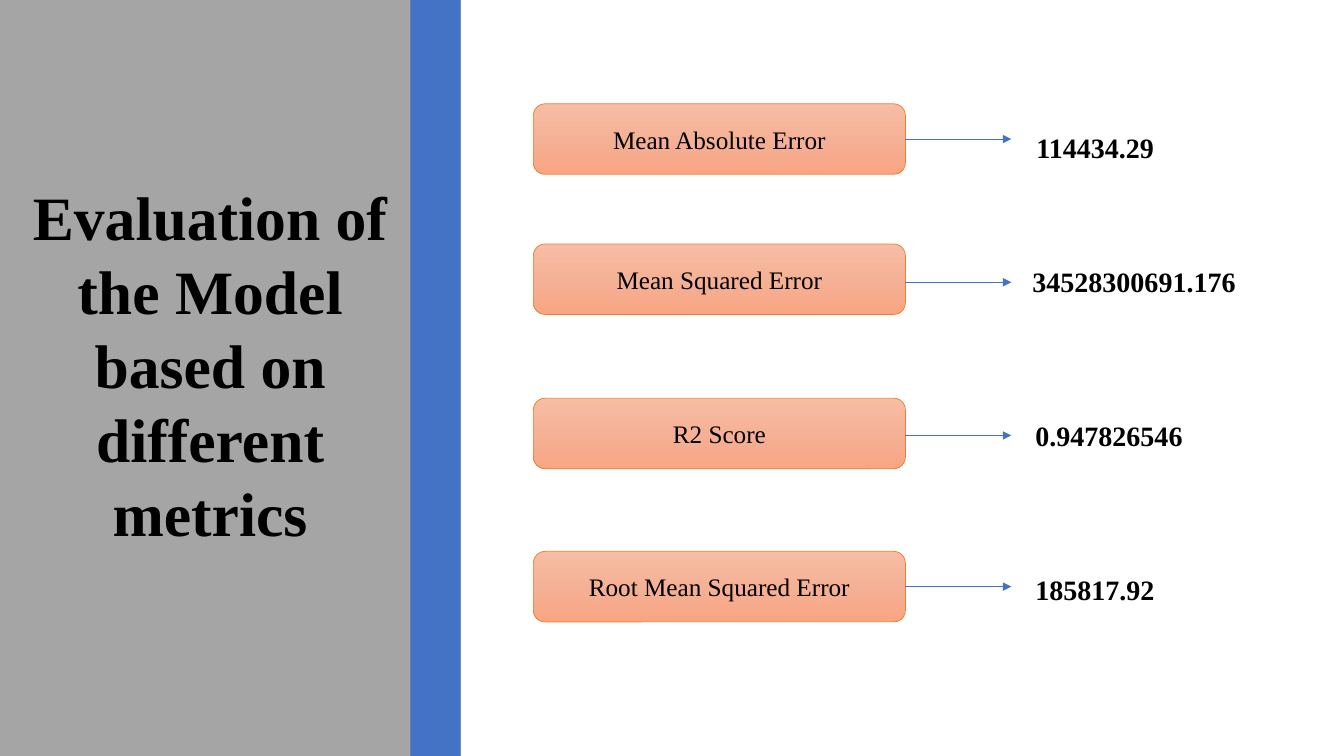
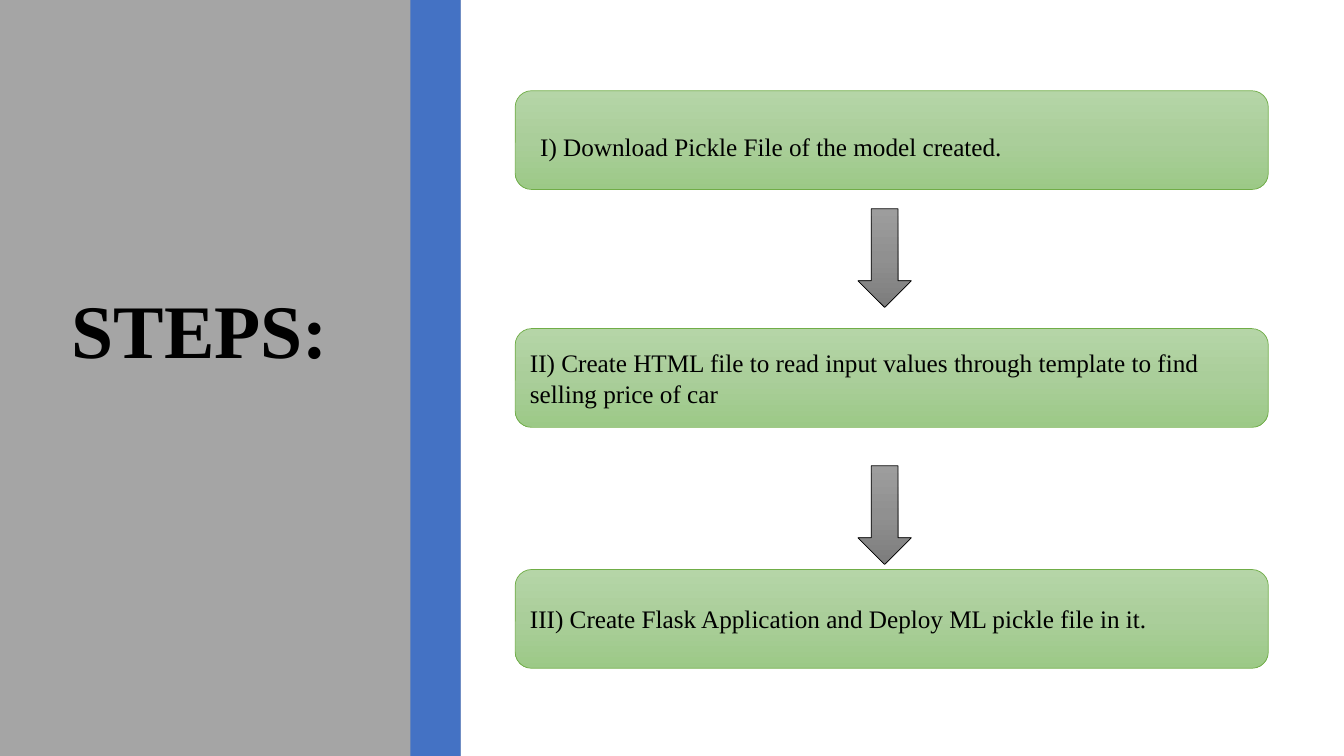
from copy import deepcopy

from pptx import Presentation
from pptx.dml.color import RGBColor
from pptx.enum.shapes import MSO_CONNECTOR as Connector, MSO_SHAPE as Preset
from pptx.enum.text import MSO_ANCHOR as Anchor, PP_ALIGN as Align
from pptx.oxml.ns import qn
from pptx.util import Inches, Pt

# Gradient stops from top to bottom, then the outline
ORANGE = (("F7BDA5", "F5B196", "F8A582"), "ED7D31")
GREEN = (("B5D5A7", "AACE9A", "9CC987"), "70AD47")
GRAY = (("9D9D9D", "909090", "7C7C7C"), "000000")


def color(code):
    return RGBColor.from_string(code)


class Deck:
    FONT = "Times New Roman"
    TEXT = "000000"
    PANEL = "A5A5A5"
    ACCENT = "4472C4"
    LINE_WIDTH = Pt(0.5)

    def __init__(self):
        self.show = Presentation()
        self.show.slide_width = Inches(13.33)
        self.show.slide_height = Inches(7.5)
        self.page = None

    def add_page(self, title, left, top, width, height, size):
        """Start a slide with the side panel, its stripe and the title."""
        self.page = self.show.slides.add_slide(self.show.slide_layouts[6])
        for x, band_width, fill in ((0, 4.57, self.PANEL), (4.07, 0.5, self.ACCENT)):
            band = self.shape(Preset.RECTANGLE, x, 0, band_width, 7.5)
            band.fill.solid()
            band.fill.fore_color.rgb = color(fill)
            band.line.fill.background()
        self.label(title, left, top, width, height, size, Align.CENTER)

    def shape(self, preset, left, top, width, height):
        shape = self.page.shapes.add_shape(
            preset, Inches(left), Inches(top), Inches(width), Inches(height))
        shape.shadow.inherit = False
        return shape

    def shaded(self, preset, left, top, width, height, style):
        """Add a shape with a vertical three-stop gradient."""
        stops, outline = style
        shape = self.shape(preset, left, top, width, height)
        shape.fill.gradient()
        shape.fill.gradient_angle = 270
        first = shape.element.spPr.find(".//" + qn("a:gs"))
        first.addnext(deepcopy(first))
        for index, (stop, code) in enumerate(zip(shape.fill.gradient_stops, stops)):
            stop.position = index / 2
            stop.color.rgb = color(code)
        shape.line.color.rgb = color(outline)
        shape.line.width = self.LINE_WIDTH
        return shape

    def set_text(self, frame, text, size, align, bold=False):
        frame.word_wrap = True
        para = frame.paragraphs[0]
        para.text = text
        para.alignment = align
        para.font.name = self.FONT
        para.font.size = Pt(size)
        para.font.bold = bold
        para.font.color.rgb = color(self.TEXT)

    def card(self, text, left, top, width, height, style, align):
        card = self.shaded(Preset.ROUNDED_RECTANGLE, left, top, width, height, style)
        card.text_frame.vertical_anchor = Anchor.MIDDLE
        self.set_text(card.text_frame, text, 18, align)
        return card

    def label(self, text, left, top, width, height, size, align=Align.LEFT):
        box = self.page.shapes.add_textbox(
            Inches(left), Inches(top), Inches(width), Inches(height))
        self.set_text(box.text_frame, text, size, align, bold=True)

    def arrow(self, start, end, y):
        arrow = self.page.shapes.add_connector(
            Connector.STRAIGHT, Inches(start), Inches(y), Inches(end), Inches(y))
        arrow.line.color.rgb = color(self.ACCENT)
        arrow.line.width = self.LINE_WIDTH
        properties = arrow.element.spPr
        line = properties.find(qn("a:ln"))
        line.append(line.makeelement(qn("a:tailEnd"), {"type": "triangle"}))
        properties.append(properties.makeelement(qn("a:effectLst"), {}))


def add_metrics(deck):
    deck.add_page("Evaluation of the Model based on different metrics",
                  0, 1.73, 4.17, 3.9, 44)
    # Name, card top, arrow height, value, value left, value top
    metrics = (
        ("Mean Absolute Error", 1.03, 1.38, "114434.29", 10.18, 1.25),
        ("Mean Squared Error", 2.42, 2.8, "34528300691.176", 10.14, 2.57),
        ("R2 Score", 3.95, 4.32, "0.947826546", 10.17, 4.1),
        ("Root Mean Squared Error", 5.47, 5.82, "185817.92", 10.17, 5.63),
    )
    for name, top, arrow_y, value, value_left, value_top in metrics:
        deck.card(name, 5.29, top, 3.69, 0.7, ORANGE, Align.CENTER)
        deck.arrow(8.98, 10.03, arrow_y)
        deck.label(value, value_left, value_top, 2.4, 0.44, 20)


def add_steps(deck):
    deck.add_page("STEPS:", 0.5, 2.76, 2.97, 1.01, 54)
    steps = (
        ("I) Download Pickle File of the model created.", 0.9),
        ("II) Create HTML file to read input values through template to find "
         "selling price of car", 3.26),
        ("III) Create Flask Application and Deploy ML pickle file in it.", 5.65),
    )
    cards = [deck.card(text, 5.11, top, 7.47, 0.98, GREEN, Align.LEFT)
             for text, top in steps]
    # The first step sits slightly lower and further in
    cards[0].text_frame.margin_left = Inches(0.2)
    cards[0].text_frame.margin_top = Inches(0.17)
    for top in (2.07, 4.62):
        deck.shaded(Preset.DOWN_ARROW, 8.51, top, 0.53, 0.98, GRAY)


def main():
    deck = Deck()
    add_metrics(deck)
    add_steps(deck)
    deck.show.save("out.pptx")


if __name__ == "__main__":
    main()
